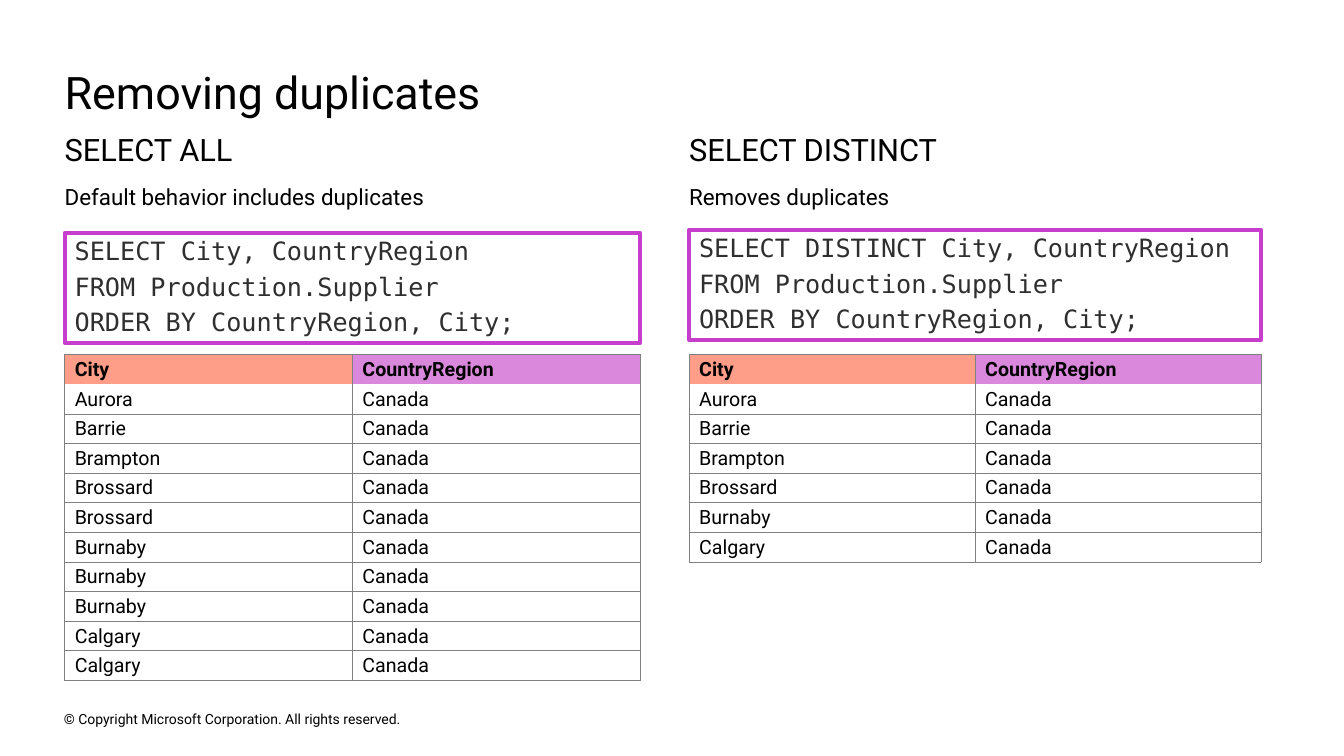
from dataclasses import dataclass

from lxml import etree
from pptx import Presentation
from pptx.dml.color import RGBColor
from pptx.enum.shapes import MSO_SHAPE
from pptx.enum.text import MSO_ANCHOR, PP_ALIGN
from pptx.oxml.ns import qn
from pptx.util import Pt

RECTANGLE = MSO_SHAPE.RECTANGLE
TOP, MIDDLE, BOTTOM = MSO_ANCHOR.TOP, MSO_ANCHOR.MIDDLE, MSO_ANCHOR.BOTTOM
LEFT = PP_ALIGN.LEFT


@dataclass(frozen=True)
class Theme:
    text_font: str = "Roboto"
    code_font: str = "DejaVu Sans Mono"
    ink: str = "000000"
    code_ink: str = "2F2F2F"
    paper: str = "FFFFFF"
    code_frame: str = "C73ECC"
    header_fills: tuple = ("FE9D88", "D988DC")
    grid: str = "808080"
    title: int = 32
    heading: int = 22
    body: int = 16
    code: int = 18
    table: int = 14
    footer: int = 10


THEME = Theme()
ROW_HEIGHT = 21.17
CODE_HEIGHT = 78.5
TABLE_TOP = 253.3
COUNTRY = "Canada"


def set_font(font, size, color=THEME.ink, name=THEME.text_font, bold=False):
    formats = {"name": name, "size": Pt(size), "bold": bold}
    for attribute, value in formats.items():
        setattr(font, attribute, value)
    font.color.rgb = RGBColor.from_string(color)


def add_label(slide, words, box, size, anchor=TOP):
    """Place one line of text without insets in box (left, top, width, height)."""
    frame = slide.shapes.add_textbox(*map(Pt, box)).text_frame
    formats = {"margin_left": 0, "margin_top": 0, "margin_right": 0,
               "margin_bottom": 0, "word_wrap": True, "vertical_anchor": anchor}
    for attribute, value in formats.items():
        setattr(frame, attribute, value)
    frame.text = words
    set_font(frame.paragraphs[0].font, size)


def add_query(slide, lines, box):
    query = slide.shapes.add_shape(RECTANGLE, *map(Pt, box))
    query.shadow.inherit = False
    query.fill.solid()
    query.fill.fore_color.rgb = RGBColor.from_string(THEME.paper)
    query.line.color.rgb = RGBColor.from_string(THEME.code_frame)
    query.line.width = Pt(3)
    frame = query.text_frame
    frame.word_wrap = True
    frame.vertical_anchor = MIDDLE
    frame.text = "\n".join(lines)
    for index, paragraph in enumerate(frame.paragraphs):
        paragraph.alignment = LEFT
        paragraph.line_spacing = 0.9
        paragraph.space_before = Pt(6 if index else 0)
        set_font(paragraph.font, THEME.code, THEME.code_ink, THEME.code_font)


def set_borders(cell, hidden_side):
    """Draw the grid round a cell, except on hidden_side."""
    properties = cell._tc.get_or_add_tcPr()
    for side in ("lnL", "lnR", "lnT", "lnB"):
        border = etree.SubElement(properties, qn(f"a:{side}"), w=str(Pt(0.5)))
        if side == hidden_side:
            etree.SubElement(border, qn("a:noFill"))
        else:
            fill = etree.SubElement(border, qn("a:solidFill"))
            etree.SubElement(fill, qn("a:srgbClr"), val=THEME.grid)


def add_result(slide, cities, left, top, width):
    rows = [("City", "CountryRegion")] + [(city, COUNTRY) for city in cities]
    height = ROW_HEIGHT * len(rows)
    result = slide.shapes.add_table(
        len(rows), 2, Pt(left), Pt(top), Pt(width), Pt(height)).table
    result.first_row = result.horz_banding = False
    cell_formats = {"margin_left": Pt(7.2), "margin_right": Pt(7.2),
                    "margin_top": Pt(2), "margin_bottom": Pt(2),
                    "vertical_anchor": BOTTOM}
    hidden_sides = {0: "lnB", 1: "lnT"}
    for row_index, values in enumerate(rows):
        result.rows[row_index].height = Pt(ROW_HEIGHT)
        is_header = row_index == 0
        for column, value in enumerate(values):
            cell = result.cell(row_index, column)
            cell.text = value
            for attribute, setting in cell_formats.items():
                setattr(cell, attribute, setting)
            set_font(cell.text_frame.paragraphs[0].font, THEME.table, bold=is_header)
            set_borders(cell, hidden_sides.get(row_index))
            if is_header:
                cell.fill.solid()
                cell.fill.fore_color.rgb = RGBColor.from_string(
                    THEME.header_fills[column])
            else:
                cell.fill.background()


def add_column(slide, left, width, query_top, heading, remark, query, cities):
    """Stack heading, remark, query and result table in one column."""
    add_label(slide, heading, (left, 93.6, width, 26.6), THEME.heading)
    add_label(slide, remark, (left, 130.5, width, 19.4), THEME.body)
    add_query(slide, query, (left, query_top, width, CODE_HEIGHT))
    add_result(slide, cities, left, TABLE_TOP, width)


def main():
    presentation = Presentation()
    presentation.slide_width, presentation.slide_height = Pt(960), Pt(540)
    slide = presentation.slides.add_slide(presentation.slide_layouts[6])

    add_label(slide, "Removing duplicates", (46.2, 46, 867, 39), THEME.title)
    query_end = ["FROM Production.Supplier", "ORDER BY CountryRegion, City;"]
    add_column(
        slide, 46.2, 411, 166.4, "SELECT ALL", "Default behavior includes duplicates",
        ["SELECT City, CountryRegion"] + query_end,
        ["Aurora", "Barrie", "Brampton", "Brossard", "Brossard", "Burnaby",
         "Burnaby", "Burnaby", "Calgary", "Calgary"])
    add_column(
        slide, 492.2, 408.6, 164.2, "SELECT DISTINCT", "Removes duplicates",
        ["SELECT DISTINCT City, CountryRegion"] + query_end,
        ["Aurora", "Barrie", "Brampton", "Brossard", "Burnaby", "Calgary"])
    add_label(slide, "© Copyright Microsoft Corporation. All rights reserved.",
              (45.7, 505.5, 327, 16), THEME.footer, MIDDLE)

    presentation.save("out.pptx")


if __name__ == "__main__":
    main()
